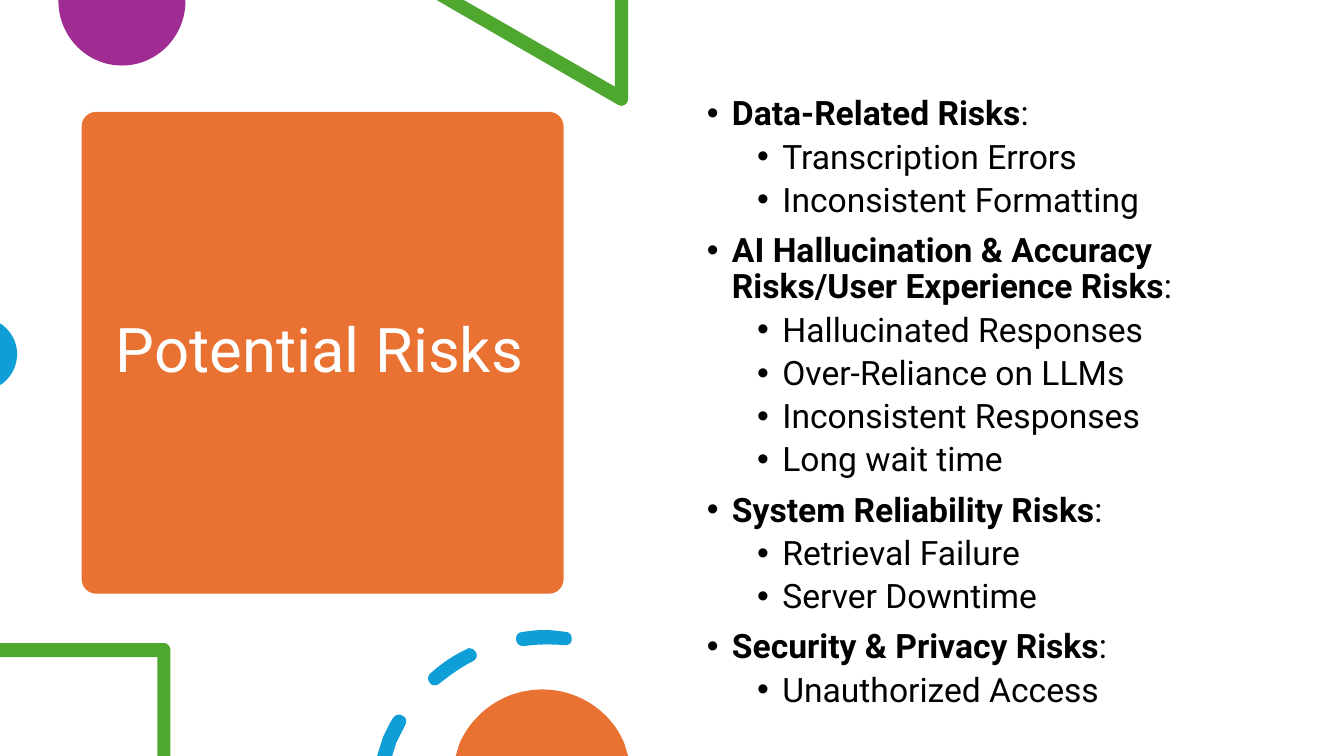
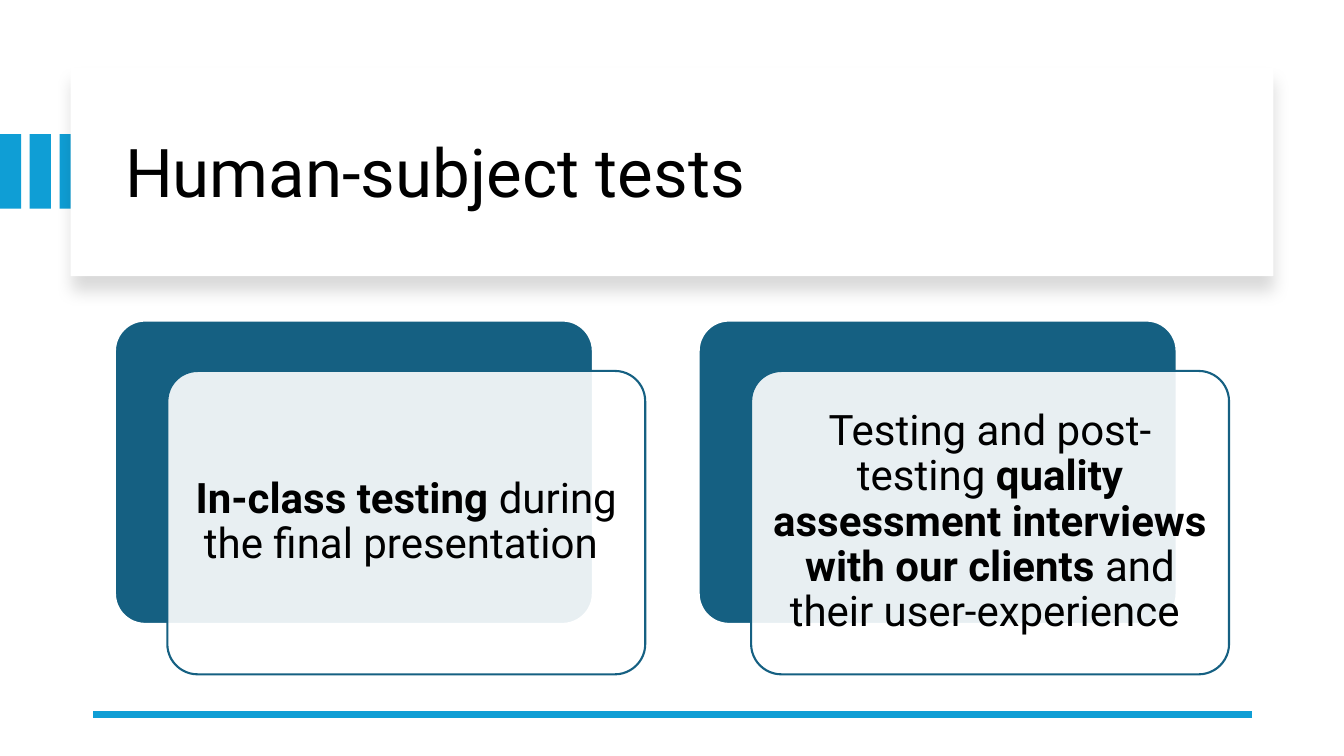
from lxml import etree
from pptx import Presentation
from pptx.dml.color import RGBColor
from pptx.enum.shapes import MSO_CONNECTOR, MSO_SHAPE
from pptx.enum.text import MSO_ANCHOR, MSO_AUTO_SIZE, PP_ALIGN
from pptx.oxml.ns import qn
from pptx.util import Inches, Pt

RECTANGLE = MSO_SHAPE.RECTANGLE
ROUNDED = MSO_SHAPE.ROUNDED_RECTANGLE
STRAIGHT = MSO_CONNECTOR.STRAIGHT
MIDDLE, TOP = MSO_ANCHOR.MIDDLE, MSO_ANCHOR.TOP
LEFT, CENTER = PP_ALIGN.LEFT, PP_ALIGN.CENTER
NO_FIT = MSO_AUTO_SIZE.NONE

FONT = "Roboto"
BLACK, WHITE = "000000", "FFFFFF"
ORANGE, PURPLE, GREEN = "E97132", "A02B93", "4EA72E"
BLUE, TEAL = "0F9ED5", "156082"
LINE_SPACING = 0.9
TITLE_AND_BODY, TITLE_ONLY = 1, 5

RISKS = [
    ("Data-Related Risks", ["Transcription Errors", "Inconsistent Formatting"]),
    ("AI Hallucination & Accuracy Risks/User Experience Risks",
     ["Hallucinated Responses", "Over-Reliance on LLMs",
      "Inconsistent Responses", "Long wait time"]),
    ("System Reliability Risks", ["Retrieval Failure", "Server Downtime"]),
    ("Security & Privacy Risks", ["Unauthorized Access"]),
]

TESTS = [
    [("In-class testing ", True), ("during the final presentation ", False)],
    [("Testing and post-testing ", False),
     ("quality assessment interviews with our clients", True),
     (" and their user-experience ", False)],
]

ORNAMENTS = [
    (PURPLE, [[(1.84, 0), (0.58, 0), (0.58, 0.01),
               (0.58, 0.36, 0.86, 0.65, 1.21, 0.65),
               (1.56, 0.65, 1.84, 0.36, 1.84, 0.01)]]),
    (GREEN, [[(6.23, 0), (6.1, 0), (6.1, 0.86), (4.6, 0), (4.33, 0), (6.13, 1.04),
              (6.14, 1.05, 6.15, 1.05, 6.16, 1.05),
              (6.2, 1.05, 6.23, 1.02, 6.23, 0.98)]]),
    (BLUE, [[(0, 3.21), (0, 3.82), (0.02, 3.81),
             (0.11, 3.74, 0.17, 3.64, 0.17, 3.51),
             (0.17, 3.39, 0.11, 3.29, 0.02, 3.22)]]),
    (GREEN, [[(1.63, 6.38), (0, 6.38), (0, 6.52), (1.56, 6.52), (1.56, 7.5),
              (1.69, 7.5), (1.69, 6.45), (1.69, 6.41, 1.66, 6.38, 1.63, 6.38)]]),
    (BLUE, [
        [(3.97, 7.09), (3.94, 7.08, 3.92, 7.1, 3.9, 7.12),
         (3.86, 7.18, 3.83, 7.25, 3.8, 7.31), (3.74, 7.5), (3.89, 7.5), (3.93, 7.37),
         (3.96, 7.31, 3.99, 7.25, 4.02, 7.19), (4.04, 7.16, 4.03, 7.11, 3.99, 7.1)],
        [(4.65, 6.43), (4.65, 6.43, 4.64, 6.43, 4.63, 6.44),
         (4.5, 6.5, 4.38, 6.58, 4.27, 6.68),
         (4.24, 6.7, 4.24, 6.75, 4.26, 6.77), (4.27, 6.79, 4.29, 6.8, 4.31, 6.8),
         (4.33, 6.8, 4.35, 6.79, 4.36, 6.78), (4.46, 6.7, 4.57, 6.62, 4.69, 6.56),
         (4.73, 6.54, 4.74, 6.5, 4.72, 6.47), (4.71, 6.44, 4.68, 6.43, 4.65, 6.43)],
        [(5.4, 6.25), (5.32, 6.25, 5.25, 6.26, 5.18, 6.27),
         (5.14, 6.27, 5.11, 6.31, 5.12, 6.35), (5.12, 6.38, 5.15, 6.41, 5.19, 6.41),
         (5.33, 6.39, 5.46, 6.39, 5.6, 6.4), (5.63, 6.41, 5.67, 6.38, 5.67, 6.35),
         (5.68, 6.31, 5.65, 6.27, 5.62, 6.27), (5.54, 6.26, 5.47, 6.25, 5.4, 6.25)],
    ]),
    (ORANGE, [[(5.38, 6.84), (5.01, 6.84, 4.7, 7.06, 4.56, 7.37), (4.52, 7.5),
               (6.23, 7.5), (6.19, 7.37), (6.06, 7.06, 5.74, 6.84, 5.38, 6.84)]]),
]


def color(value):
    return RGBColor.from_string(value)


def paint(shape, fill, line=None, width=1.5):
    shape.shadow.inherit = False
    shape.fill.solid()
    shape.fill.fore_color.rgb = color(fill)
    if line:
        shape.line.color.rgb = color(line)
        shape.line.width = Pt(width)
    else:
        shape.line.fill.background()


def add_box(page, kind, at, fill, line=None, corner=None):
    box = page.shapes.add_shape(kind, *map(Inches, at))
    paint(box, fill, line)
    if corner is not None:
        box.adjustments[0] = corner
    return box


def set_alpha(parent, percent):
    etree.SubElement(parent, qn("a:alpha"), val=str(percent * 1000))


def make_translucent(shape, percent):
    fill = shape.element.spPr.find(qn("a:solidFill"))
    set_alpha(fill.find(qn("a:srgbClr")), percent)


def cast_shadow(shape, blur, distance, percent):
    effects = shape.element.spPr.find(qn("a:effectLst"))
    shadow = etree.SubElement(effects, qn("a:outerShdw"), blurRad=str(Pt(blur)),
                              dist=str(Pt(distance)), dir="5400000", rotWithShape="0")
    set_alpha(etree.SubElement(shadow, qn("a:srgbClr"), val=BLACK), percent)


def bend_segments(shape, contours):
    entries = [entry for contour in contours for entry in contour[1:]]
    segments = list(shape.element.spPr.iter(qn("a:lnTo")))
    for segment, entry in zip(segments, entries):
        if len(entry) == 2:
            continue
        curve = etree.Element(qn("a:cubicBezTo"))
        for x, y in zip(entry[::2], entry[1::2]):
            etree.SubElement(curve, qn("a:pt"), x=str(Inches(x) - shape.left),
                             y=str(Inches(y) - shape.top))
        segment.getparent().replace(segment, curve)


def add_ornament(page, fill, contours):
    builder = None
    for contour in contours:
        start, *others = [tuple(map(Inches, entry[-2:])) for entry in contour]
        if builder is None:
            builder = page.shapes.build_freeform(*start)
        else:
            builder.move_to(*start)
        builder.add_line_segments(others, close=True)
    ornament = builder.convert_to_shape()
    bend_segments(ornament, contours)
    paint(ornament, fill)


def place(shape, at):
    shape.left, shape.top, shape.width, shape.height = map(Inches, at)


def prepare_frame(shape, anchor):
    frame = shape.text_frame
    frame.word_wrap = True
    frame.auto_size = NO_FIT
    frame.vertical_anchor = anchor
    return frame


def write_runs(para, runs, size, ink=BLACK, align=LEFT):
    para.alignment = align
    para.line_spacing = LINE_SPACING
    for text, bold in runs:
        span = para.add_run()
        span.text = text
        span.font.name = FONT
        span.font.size = Pt(size)
        span.font.bold = bold
        span.font.color.rgb = color(ink)


def set_title(page, text, at, size, ink=BLACK):
    title = page.shapes.title
    place(title, at)
    title.element.getparent().append(title.element)
    frame = prepare_frame(title, MIDDLE)
    write_runs(frame.paragraphs[0], [(text, False)], size, ink)


def set_bullet(para, indent):
    properties = para._p.get_or_add_pPr()
    properties.set("marL", str(Inches(indent)))
    properties.set("indent", str(Inches(-0.25)))
    etree.SubElement(properties, qn("a:buFont"), typeface="Arial")
    etree.SubElement(properties, qn("a:buChar"), char="•")


def fill_list(body, groups):
    items = []
    for heading, entries in groups:
        items.append((0, [(heading, True), (":", False)]))
        items += [(1, [(entry, False)]) for entry in entries]
    frame = prepare_frame(body, TOP)
    for index, (level, runs) in enumerate(items):
        para = frame.add_paragraph() if index else frame.paragraphs[0]
        para.level = level
        write_runs(para, runs, 24)
        para.space_before = Pt(5 if level else 10)
        set_bullet(para, 0.75 if level else 0.25)


def add_test_card(page, left, runs):
    top, width, height = 3.18, 4.74, 3.01
    add_box(page, ROUNDED, (left, top, width, height), TEAL, WHITE, 0.1)
    panel = add_box(page, ROUNDED, (left + 0.52, top + 0.5, width, height),
                    WHITE, TEAL, 0.1)
    make_translucent(panel, 90)
    frame = prepare_frame(panel, MIDDLE)
    frame.margin_left = frame.margin_right = Inches(0.12)
    frame.margin_top = frame.margin_bottom = Inches(0.12)
    write_runs(frame.paragraphs[0], runs, 30, align=CENTER)


def add_rule(page, start, end, top):
    rule = page.shapes.add_connector(STRAIGHT, Inches(start), Inches(top),
                                     Inches(end), Inches(top))
    rule.line.color.rgb = color(BLUE)
    rule.line.width = Pt(4.5)
    etree.SubElement(rule.element.spPr, qn("a:effectLst"))


def build_risks(deck):
    page = deck.slides.add_slide(deck.slide_layouts[TITLE_AND_BODY])
    add_box(page, ROUNDED, (0.81, 1.11, 4.78, 4.78), ORANGE, corner=0.03)
    set_title(page, "Potential Risks", (1.05, 1.22, 4.31, 4.56), 44, WHITE)
    for fill, contours in ORNAMENTS:
        add_ornament(page, fill, contours)
    body = page.placeholders[1]
    place(body, (6.91, 0.91, 5.75, 5.35))
    fill_list(body, RISKS)


def build_tests(deck):
    page = deck.slides.add_slide(deck.slide_layouts[TITLE_ONLY])
    for index in range(3):
        add_box(page, RECTANGLE, (index * 0.59 / 2, 1.33, 0.21, 0.74), BLUE)
    banner = add_box(page, RECTANGLE, (0.7, 0.67, 11.93, 2.07), WHITE)
    cast_shadow(banner, 11, 10, 15)
    set_title(page, "Human-subject tests", (1.14, 0.89, 11.13, 1.7), 48)
    add_rule(page, 12.42, 0.92, 7.09)
    for index, runs in enumerate(TESTS):
        add_test_card(page, 1.14 + index * 5.79, runs)


def main():
    deck = Presentation()
    deck.slide_width = Inches(13.33)
    deck.slide_height = Inches(7.5)
    build_risks(deck)
    build_tests(deck)
    deck.save("out.pptx")


if __name__ == "__main__":
    main()
